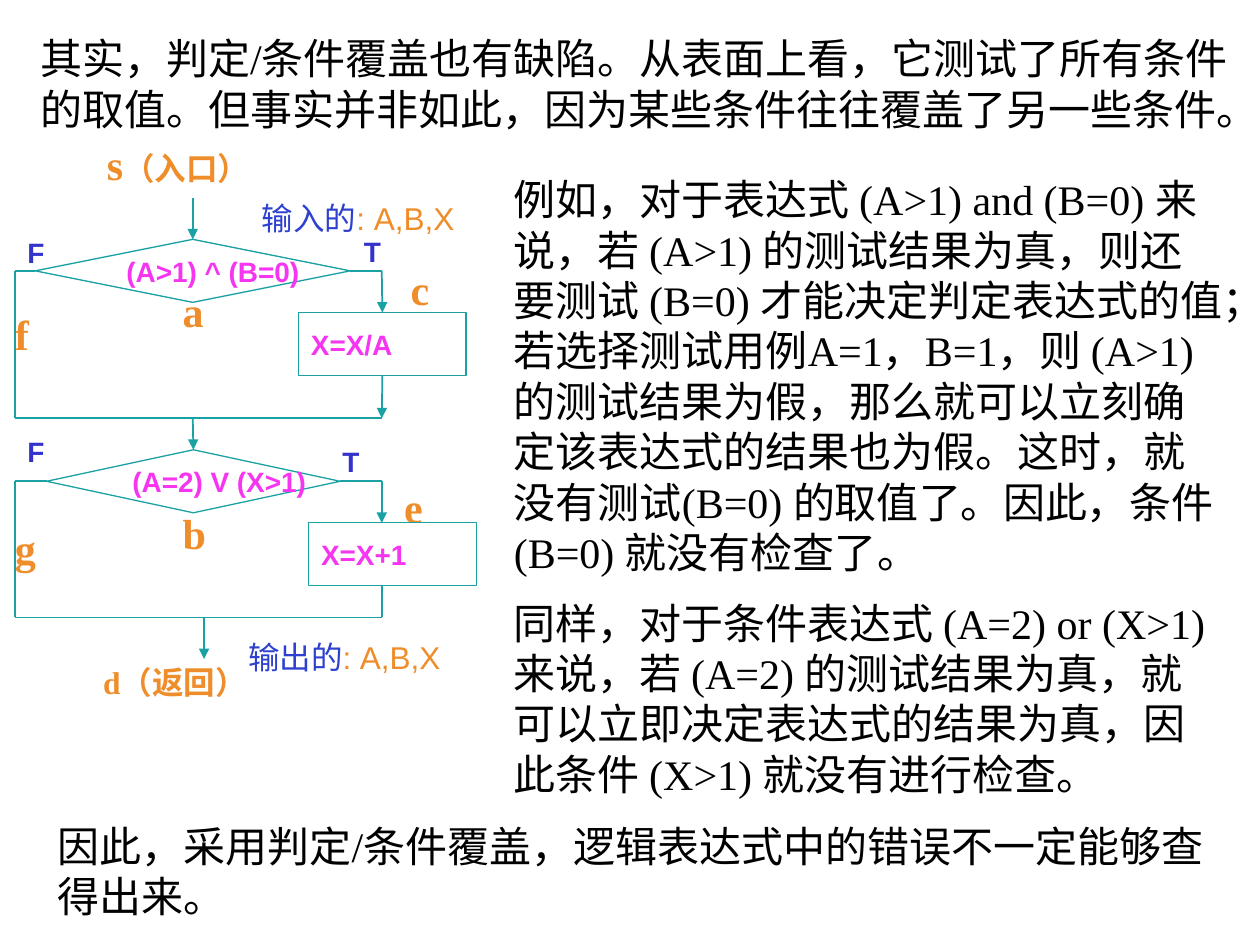
from pptx import Presentation
from pptx.dml.color import RGBColor
from pptx.enum.shapes import MSO_CONNECTOR, MSO_SHAPE
from pptx.enum.text import MSO_ANCHOR, MSO_AUTO_SIZE, PP_ALIGN
from pptx.oxml.ns import qn
from pptx.util import Inches, Pt

BLACK = RGBColor(0x00, 0x00, 0x00)
WHITE = RGBColor(0xFF, 0xFF, 0xFF)
ORANGE = RGBColor(0xEF, 0x8D, 0x2B)
MAGENTA = RGBColor(0xF5, 0x35, 0xF0)
NAVY = RGBColor(0x33, 0x33, 0xCC)
BLUE = RGBColor(0x2E, 0x41, 0xCE)
TEAL = RGBColor(0x1A, 0xA1, 0xA4)
SERIF, SANS, CJK = "Times New Roman", "Arial", "Noto Sans CJK SC"


def add_run(p, text, size, font, color, bold=False):
    r = p.add_run()
    r.text = text
    r.font.size, r.font.name, r.font.bold = Pt(size), font, bold
    r.font.color.rgb = color
    ea = r.font._element.makeelement(qn("a:ea"), {"typeface": CJK})
    r.font._element.find(qn("a:latin")).addnext(ea)


def add_text(shapes, box, runs, wrap=False, anchor=MSO_ANCHOR.TOP, fit=True):
    tf = shapes.add_textbox(*map(Inches, box)).text_frame
    tf.word_wrap = wrap
    tf.vertical_anchor = anchor
    tf.auto_size = MSO_AUTO_SIZE.SHAPE_TO_FIT_TEXT if fit else MSO_AUTO_SIZE.NONE
    for run in runs:
        add_run(tf.paragraphs[0], *run)


def add_node(shapes, kind, box, text):
    sp = shapes.add_shape(kind, *map(Inches, box))
    sp.shadow.inherit = False
    sp.fill.solid()
    sp.fill.fore_color.rgb = WHITE
    sp.line.color.rgb = TEAL
    sp.line.width = Pt(0.75)
    tf = sp.text_frame
    tf.word_wrap = False
    tf.vertical_anchor = MSO_ANCHOR.MIDDLE
    tf.paragraphs[0].alignment = PP_ALIGN.LEFT
    add_run(tf.paragraphs[0], text, 16, SANS, MAGENTA, True)
    return sp


def add_line(shapes, x1, y1, x2, y2, arrow=False):
    c = shapes.add_connector(MSO_CONNECTOR.STRAIGHT,
                             *map(Inches, (x1, y1, x2, y2)))
    c.line.color.rgb = TEAL
    c.line.width = Pt(1)
    if arrow:
        ln = c.line._get_or_add_ln()
        ln.append(ln.makeelement(qn("a:tailEnd"), {"type": "triangle"}))
    sp_pr = c._element.spPr
    sp_pr.append(sp_pr.makeelement(qn("a:effectLst"), {}))
    return c


def add_stage(shapes, box, decision, action, true_at, false_top, rejoin_arrow):
    """One decision with its true branch on the right and false branch on the left."""
    left, top, width, height = box
    right, bottom, mid = left + width, top + height, top + 0.25
    (d_left, d_width, d_text), (a_left, a_text) = decision, action
    a_top = top + 0.58
    diamond = add_node(shapes, MSO_SHAPE.FLOWCHART_DECISION,
                       (d_left, top, d_width, 0.5), d_text)
    rect = add_node(shapes, MSO_SHAPE.RECTANGLE, (a_left, a_top, 1.33, 0.5), a_text)

    # False branch and the line where both branches meet
    add_line(shapes, left, mid, d_left, mid).end_connect(diamond, 1)
    add_line(shapes, left, mid, left, bottom)
    add_line(shapes, left, bottom, right, bottom)

    # True branch
    add_line(shapes, d_left + d_width, mid, right, mid).begin_connect(diamond, 3)
    down = add_line(shapes, right, mid, right, a_top, True)
    rejoin = add_line(shapes, right, a_top + 0.5, right, bottom, rejoin_arrow)
    if abs(a_left + 1.33 / 2 - right) < 0.01:
        down.end_connect(rect, 0)
        rejoin.begin_connect(rect, 2)

    for text, x, y in (("T", *true_at), ("F", left, false_top)):
        add_text(shapes, (x, y, 0.34, 0.37), [(text, 16, SANS, NAVY, True)])
    return diamond


def add_flowchart(shapes, box):
    left, top, width, height = box

    # Path letters
    for letter, x, y in (("f", 0.02, 2.4), ("g", 0.02, 4.1), ("b", 1.35, 3.98),
                         ("a", 1.35, 2.22), ("c", 3.16, 2.04), ("e", 3.11, 3.77)):
        add_text(shapes, (left + x, top + y - 1.05, 0.38, 0.5),
                 [(letter, 24, SERIF, ORANGE, True)])

    # Entry and return
    add_text(shapes, (left + 0.75, top, 1.53, 0.51),
             [("s", 24, SERIF, ORANGE, True), ("（入口）", 18, SERIF, ORANGE, True)], True)
    add_text(shapes, (left + 0.72, top + height - 0.4, 1.8, 0.4),
             [("d（返回）", 18, SERIF, ORANGE, True)], True)

    # Two decisions in sequence
    x = left + 0.12
    top1, top2 = top + 0.85, top + 2.52
    first = add_stage(shapes, (x, top1, 2.91, 1.42),
                      (left + 0.28, 2.5, "(A>1) ^ (B=0)"), (left + 2.37, "X=X/A"),
                      (left + 2.79, top1 - 0.09), top1 - 0.08, True)
    second = add_stage(shapes, (x, top2, 2.91, 1.33),
                       (left + 0.37, 2.33, "(A=2) V (X>1)"), (left + 2.45, "X=X+1"),
                       (left + 2.62, top2 - 0.09), top2 - 0.17, False)
    axis = left + 1.53
    add_line(shapes, axis, top1 - 0.33, axis, top1, True).end_connect(first, 0)
    add_line(shapes, axis, top1 + 1.42, axis, top2, True).end_connect(second, 0)
    add_line(shapes, left + 1.62, top2 + 1.33, left + 1.62, top2 + 1.66, True)

    # Input and output variables
    for text, x, y in (("输入的", 1.98, 0.47), ("输出的", 1.87, 3.95)):
        add_text(shapes, (left + x, top + y, 2.25, 0.42),
                 [(text, 18, CJK, BLUE), (": A,B,X", 18, SANS, ORANGE)],
                 anchor=MSO_ANCHOR.MIDDLE, fit=False)


def add_body(shapes, box, text):
    add_text(shapes, box, [(text, 24, SERIF, BLACK)], True)


def main():
    prs = Presentation()
    prs.slide_width, prs.slide_height = Inches(10), Inches(7.5)
    s = prs.slides.add_slide(prs.slide_layouts[6])

    # Introduction and first example
    add_body(s.shapes, (0.22, 0.21, 9.74, 0.91),
             "其实，判定/条件覆盖也有缺陷。从表面上看，它测试了所有条件的取值。"
             "但事实并非如此，因为某些条件往往覆盖了另一些条件。")
    add_body(s.shapes, (3.98, 1.33, 5.83, 3.33),
             "例如，对于表达式 (A>1) and (B=0) 来说，若 (A>1) 的测试结果为真，"
             "则还要测试 (B=0) 才能决定判定表达式的值；若选择测试用例A=1，B=1，"
             "则 (A>1) 的测试结果为假，那么就可以立刻确定该表达式的结果也为假。"
             "这时，就没有测试(B=0) 的取值了。因此，条件 (B=0) 就没有检查了。")

    add_flowchart(s.shapes.add_group_shape().shapes, (0, 1.05, 4.23, 4.56))

    # Conclusion and second example
    add_body(s.shapes, (0.36, 6.46, 9.36, 0.91),
             "因此，采用判定/条件覆盖，逻辑表达式中的错误不一定能够查得出来。")
    add_body(s.shapes, (3.98, 4.69, 5.83, 1.72),
             "同样，对于条件表达式 (A=2) or (X>1) 来说，若 (A=2) 的测试结果为真，"
             "就可以立即决定表达式的结果为真，因此条件 (X>1) 就没有进行检查。")

    prs.save("out.pptx")


if __name__ == "__main__":
    main()
